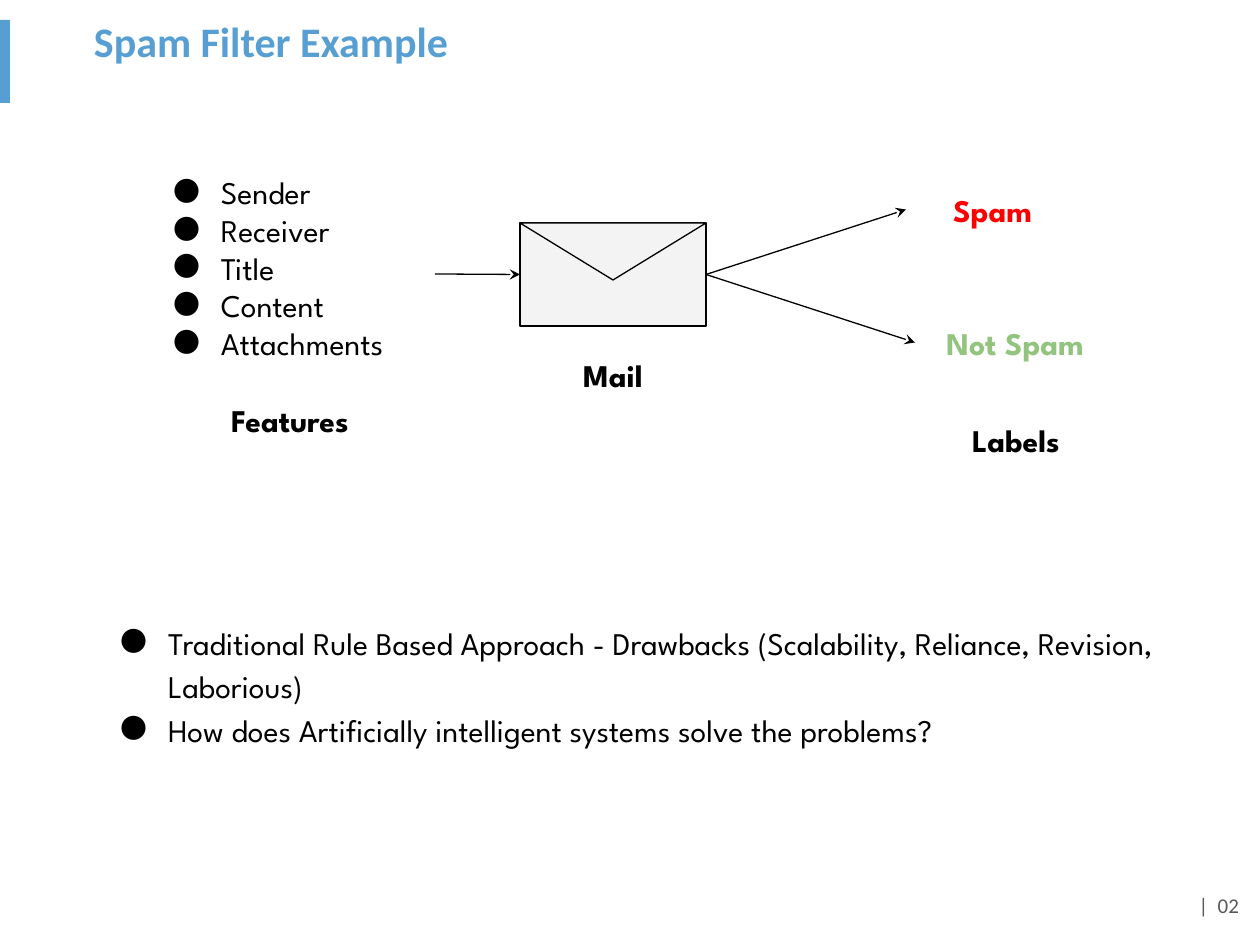
from lxml.etree import SubElement
from pptx import Presentation
from pptx.dml.color import RGBColor
from pptx.enum.shapes import MSO_CONNECTOR, MSO_SHAPE
from pptx.enum.text import MSO_ANCHOR, PP_ALIGN
from pptx.oxml.ns import qn
from pptx.util import Emu, Pt

THEME = {
    "heading_font": "Calibri", "body_font": "League Spartan",
    "accent": "579FD2", "ink": "000000", "muted": "595959",
    "paper": "F3F3F3", "spam": "FF0000", "not_spam": "93C47D",
    "title": 24, "body": 18, "footer": 12, "line": 0.75,
}
EMU_PER_PX = 914400 / 126


def px(*lengths):
    """Turn pixel lengths into a list of EMU."""
    return [Emu(round(length * EMU_PER_PX)) for length in lengths]


def add_text(box, lines, size="body", color="ink", font="body_font", bold=False,
             align=PP_ALIGN.LEFT, anchor=MSO_ANCHOR.TOP, inset=13, bullets=False, spacing=1):
    """Add a text box at box (left, top, width, height), one paragraph a line."""
    shape = slide.shapes.add_textbox(*px(*box))
    side, edge = px(13, inset)
    frame_format = {"word_wrap": True, "vertical_anchor": anchor,
                    "margin_left": side, "margin_right": side,
                    "margin_top": edge, "margin_bottom": edge}
    for name, value in frame_format.items():
        setattr(shape.text_frame, name, value)
    shape.text_frame.text = "\n".join(lines)
    for paragraph in shape.text_frame.paragraphs:
        paragraph.alignment = align
        paragraph.line_spacing = spacing
        run_format = {"name": THEME[font], "size": Pt(THEME[size]), "bold": bold}
        for name, value in run_format.items():
            setattr(paragraph.runs[0].font, name, value)
        paragraph.runs[0].font.color.rgb = RGBColor.from_string(THEME[color])
        if bullets:
            properties = paragraph._p.get_or_add_pPr()
            margin, indent = px(63, -48)
            properties.set("marL", str(margin))
            properties.set("indent", str(indent))
            bullet_color = SubElement(properties, qn("a:buClr"))
            SubElement(bullet_color, qn("a:srgbClr"), val=THEME["ink"])
            SubElement(properties, qn("a:buFont"), typeface=THEME[font])
            SubElement(properties, qn("a:buChar"), char="●")
    return shape


presentation = Presentation()
presentation.slide_width, presentation.slide_height = px(1260, 945)
slide = presentation.slides.add_slide(presentation.slide_layouts[6])

# Heading and page number
add_text((905, 887, 347, 38), ["|\u00a0 02".replace("\u00a0", " ")], "footer", "muted",
         "heading_font", align=PP_ALIGN.RIGHT, inset=6)
add_text((81, 10, 629, 63), ["Spam Filter Example"], "title", "accent",
         "heading_font", bold=True, inset=6)

# Accent bar, then the envelope and its flap
shapes = {}
for name, preset, box, fill, outlined in [
    ("bar", MSO_SHAPE.RECTANGLE, (0, 20, 10, 83), "accent", False),
    ("envelope", MSO_SHAPE.RECTANGLE, (520, 223, 186, 103), "paper", True),
    ("flap", MSO_SHAPE.FLOWCHART_MERGE, (520, 223, 186, 57), "paper", True),
]:
    shape = shapes[name] = slide.shapes.add_shape(preset, *px(*box))
    shape.shadow.inherit = False
    shape.fill.solid()
    shape.fill.fore_color.rgb = RGBColor.from_string(THEME[fill])
    if outlined:
        shape.line.color.rgb = RGBColor.from_string(THEME["ink"])
        shape.line.width = Pt(THEME["line"])
    else:
        shape.line.fill.background()
envelope = shapes["envelope"]

# Features going in, labels coming out
features = add_text((145, 160, 290, 228),
                    ["Sender", "Receiver", "Title", "Content", "Attachments"], bullets=True)
spam, not_spam = [
    add_text(box, [label], color=color, bold=True,
             align=PP_ALIGN.CENTER, anchor=MSO_ANCHOR.MIDDLE)
    for box, label, color in [((906, 169, 173, 81), "Spam", "spam"),
                              ((915, 302, 200, 81), "Not Spam", "not_spam")]
]
for left, top, caption in [(536, 343, "Mail"), (213, 388, "Features"), (939, 408, "Labels")]:
    add_text((left, top, 154, 64), [caption], bold=True, align=PP_ALIGN.CENTER)

# Arrows from right side to left side
for source, target in [(features, envelope), (envelope, spam), (envelope, not_spam)]:
    arrow = slide.shapes.add_connector(MSO_CONNECTOR.STRAIGHT, 0, 0, 0, 0)
    arrow.begin_connect(source, 3)
    arrow.end_connect(target, 1)
    arrow.line.color.rgb = RGBColor.from_string(THEME["ink"])
    arrow.line.width = Pt(THEME["line"])
    SubElement(arrow.line._get_or_add_ln(), qn("a:tailEnd"), type="stealth")
    SubElement(arrow._element.spPr, qn("a:effectLst"))

# Discussion points
add_text((92, 605, 1075, 228),
         ["Traditional Rule Based Approach - Drawbacks "
          "(Scalability, Reliance, Revision, Laborious)",
          "How does Artificially intelligent systems solve the problems?"],
         bullets=True, spacing=1.15)

presentation.save("out.pptx")
